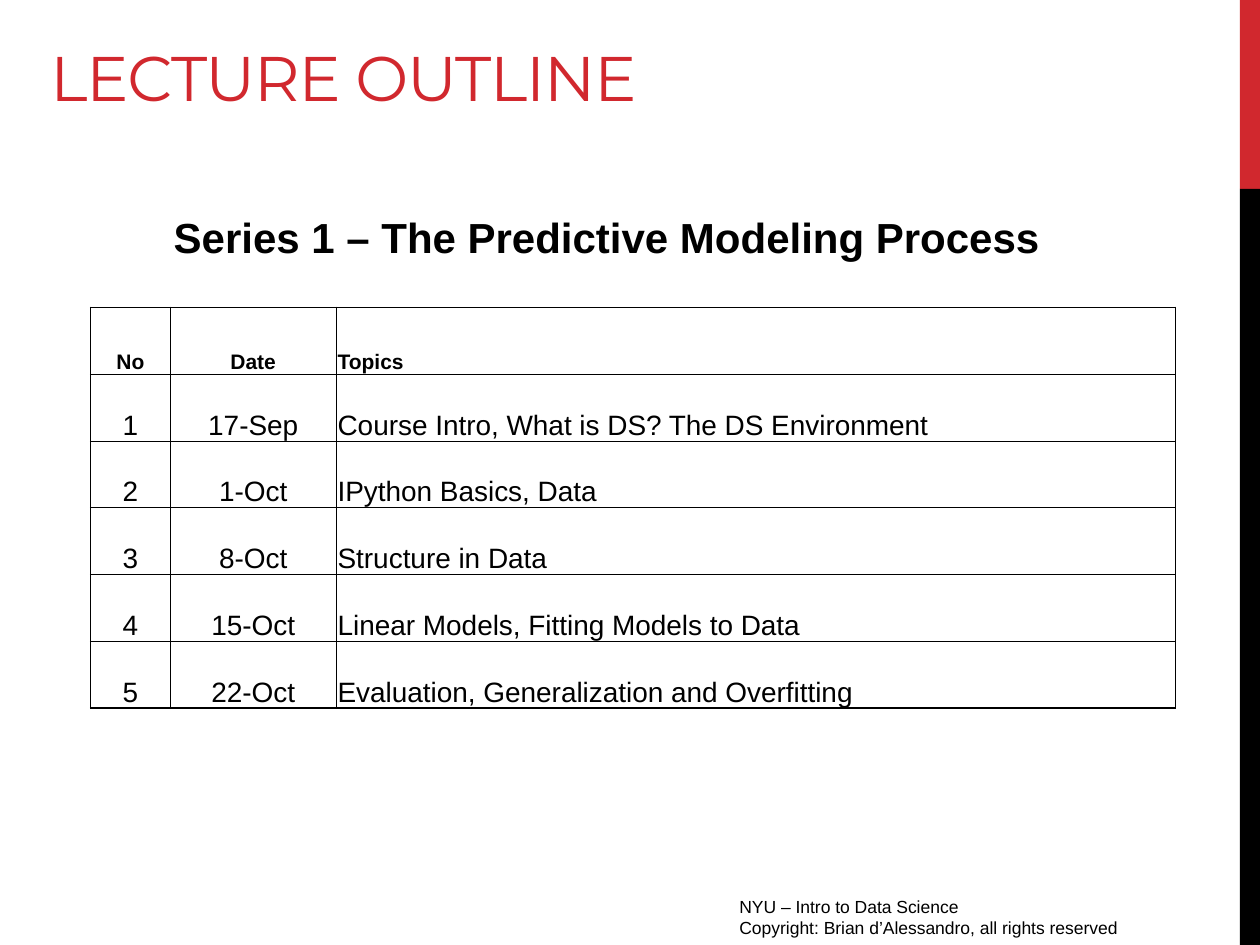
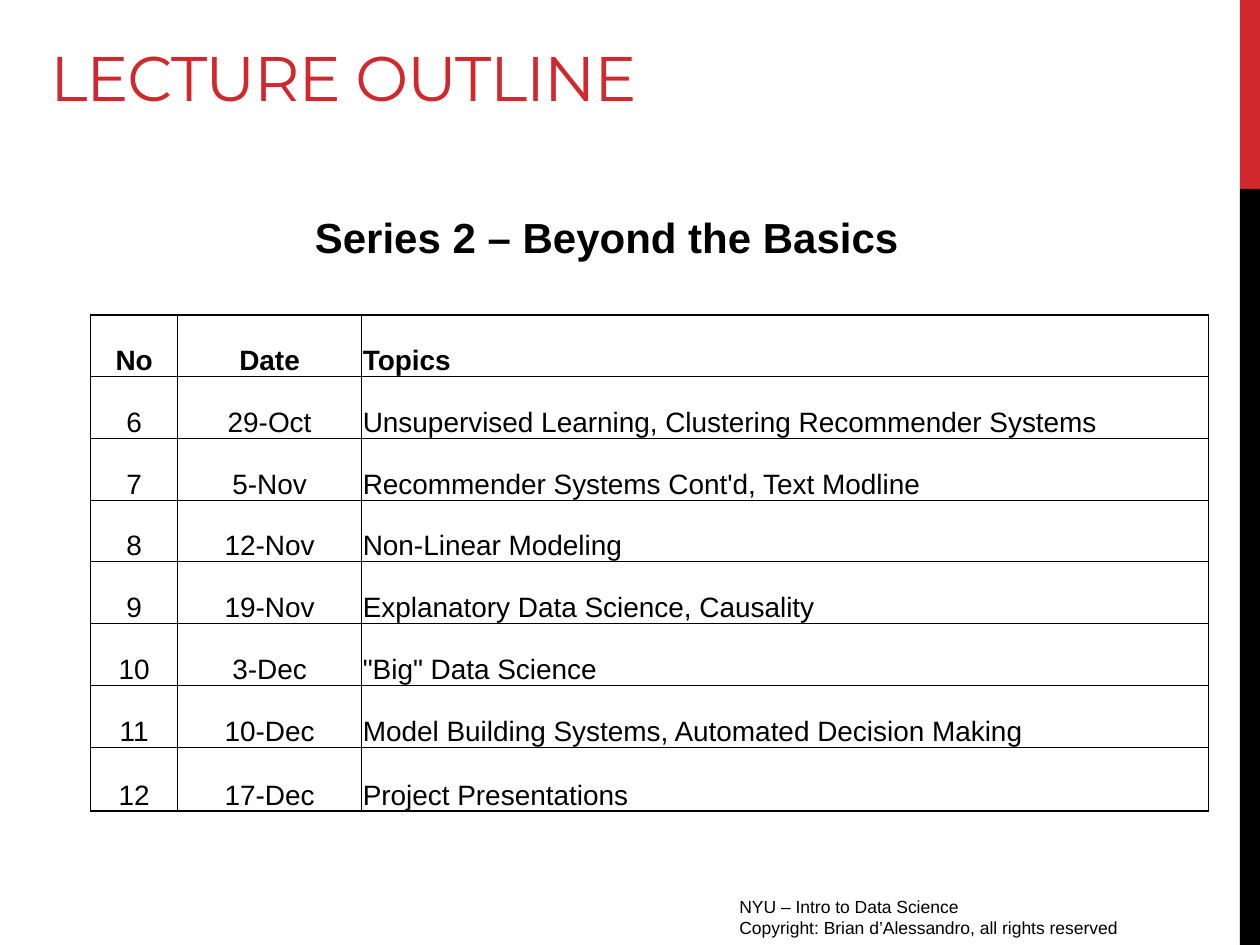
from dataclasses import dataclass

from lxml.etree import SubElement
from pptx import Presentation
from pptx.dml.color import RGBColor
from pptx.enum.shapes import MSO_SHAPE
from pptx.enum.text import MSO_ANCHOR, MSO_AUTO_SIZE, PP_ALIGN
from pptx.oxml import parse_xml
from pptx.oxml.ns import nsdecls, qn
from pptx.util import Inches, Pt


@dataclass(frozen=True)
class Theme:
    red: str = "D1282E"
    black: str = "000000"
    title_font: str = "Montserrat"
    body_font: str = "Arial"
    title_size: int = 36
    heading_size: int = 24
    table_size: int = 16
    footer_size: int = 10
    outer_line: float = 1
    inner_line: float = 0.5


THEME = Theme()
TITLE = "LECTURE OUTLINE"
FOOTER = ["NYU – Intro to Data Science",
          "Copyright: Brian d’Alessandro, all rights reserved"]
HEADER = ("No", "Date", "Topics")


def write(paragraph, text, size, font=THEME.body_font, color=THEME.black,
          bold=False, align=PP_ALIGN.LEFT, spacing=None):
    """Fill a paragraph with one formatted run."""
    paragraph.alignment = align
    run = paragraph.add_run()
    run.text = text
    run.font.name = font
    run.font.size = Pt(size)
    run.font.bold = bold
    run.font.color.rgb = RGBColor.from_string(color)
    if spacing is not None:
        run.font._element.set("spc", str(round(spacing * 100)))


def set_borders(cell, widths):
    """Draw the left, right, top and bottom borders, which must precede the fill."""
    properties = cell._tc.get_or_add_tcPr()
    for index, (side, width) in enumerate(zip("LRTB", widths)):
        line = parse_xml(f'<a:ln{side} {nsdecls("a")} w="{Pt(width)}"/>')
        fill = SubElement(line, qn("a:solidFill"))
        SubElement(fill, qn("a:srgbClr"), val=THEME.black)
        properties.insert(index, line)


class OutlineDeck:
    def __init__(self, theme):
        self.theme = theme
        self.presentation = Presentation()
        self.presentation.slide_width = Inches(10)
        self.presentation.slide_height = Inches(7.5)
        self.slide = None

    def add_slide(self):
        layout = self.presentation.slide_layouts.get_by_name("Title Only")
        self.slide = self.presentation.slides.add_slide(layout)
        self.band(0, 1.5, self.theme.red)
        self.band(1.5, 6, self.theme.black)
        self.text_box(5.77, 7.06, 3.75, 0.31, FOOTER, size=self.theme.footer_size)
        self.title(TITLE)

    def band(self, top, height, color):
        shape = self.slide.shapes.add_shape(
            MSO_SHAPE.RECTANGLE, Inches(9.84), Inches(top), Inches(0.16), Inches(height))
        shape.shadow.inherit = False
        shape.fill.solid()
        shape.fill.fore_color.rgb = RGBColor.from_string(color)
        shape.line.fill.background()

    def title(self, text):
        shape = self.slide.shapes.title
        shape.left, shape.top = Inches(0.3), Inches(-0.3)
        shape.width, shape.height = Inches(6.33), Inches(1.26)
        frame = shape.text_frame
        frame.auto_size = MSO_AUTO_SIZE.NONE
        frame.vertical_anchor = MSO_ANCHOR.BOTTOM
        write(frame.paragraphs[0], text, self.theme.title_size,
              font=self.theme.title_font, color=self.theme.red, spacing=-0.6)

    def text_box(self, left, top, width, height, lines, **text_format):
        shape = self.slide.shapes.add_textbox(
            Inches(left), Inches(top), Inches(width), Inches(height))
        frame = shape.text_frame
        frame.word_wrap = True
        for index, line in enumerate(lines):
            paragraph = frame.add_paragraph() if index else frame.paragraphs[0]
            write(paragraph, line, **text_format)

    def heading(self, text):
        self.text_box(0.72, 1.63, 8.19, 0.5, [text], size=self.theme.heading_size,
                      bold=True, align=PP_ALIGN.CENTER)

    def schedule(self, top, column_widths, row_heights, lectures, header_size):
        rows = [HEADER, *lectures]
        table = self.slide.shapes.add_table(
            len(rows), len(HEADER), Inches(0.72), Inches(top),
            Inches(sum(column_widths)), Inches(sum(row_heights))).table
        table.first_row = table.horz_banding = False
        for column, width in zip(table.columns, column_widths):
            column.width = Inches(width)
        for row, height in zip(table.rows, row_heights):
            row.height = Inches(height)

        last_row, last_column = len(rows) - 1, len(HEADER) - 1
        for row_index, values in enumerate(rows):
            is_header = row_index == 0
            for column_index, value in enumerate(values):
                cell = table.cell(row_index, column_index)
                cell.fill.background()
                cell.vertical_anchor = MSO_ANCHOR.BOTTOM
                cell.margin_left = cell.margin_right = cell.margin_top = Inches(0.01)
                cell.margin_bottom = 0
                write(cell.text_frame.paragraphs[0], value,
                      header_size if is_header else self.theme.table_size,
                      bold=is_header,
                      align=PP_ALIGN.LEFT if column_index == last_column
                      else PP_ALIGN.CENTER)
                on_edge = (column_index == 0, column_index == last_column,
                           is_header, row_index == last_row)
                set_borders(cell, [self.theme.outer_line if edge
                                   else self.theme.inner_line for edge in on_edge])


def main():
    deck = OutlineDeck(THEME)

    # Series 1
    deck.add_slide()
    deck.heading("Series 1 – The Predictive Modeling Process")
    deck.schedule(2.44, (0.63, 1.32, 6.66), [0.53] * 6, [
        ("1", "17-Sep", "Course Intro, What is DS? The DS Environment"),
        ("2", "1-Oct", "IPython Basics, Data"),
        ("3", "8-Oct", "Structure in Data"),
        ("4", "15-Oct", "Linear Models, Fitting Models to Data"),
        ("5", "22-Oct", "Evaluation, Generalization and Overfitting"),
    ], header_size=12)

    # Series 2
    deck.add_slide()
    deck.heading("Series 2 – Beyond the Basics")
    deck.schedule(2.5, (0.69, 1.46, 6.72), [0.49] * 7 + [0.51], [
        ("6", "29-Oct", "Unsupervised Learning, Clustering Recommender Systems"),
        ("7", "5-Nov", "Recommender Systems Cont'd, Text Modline"),
        ("8", "12-Nov", "Non-Linear Modeling"),
        ("9", "19-Nov", "Explanatory Data Science, Causality"),
        ("10", "3-Dec", '"Big" Data Science'),
        ("11", "10-Dec", "Model Building Systems, Automated Decision Making"),
        ("12", "17-Dec", "Project Presentations"),
    ], header_size=THEME.table_size)

    deck.presentation.save("out.pptx")


if __name__ == "__main__":
    main()
